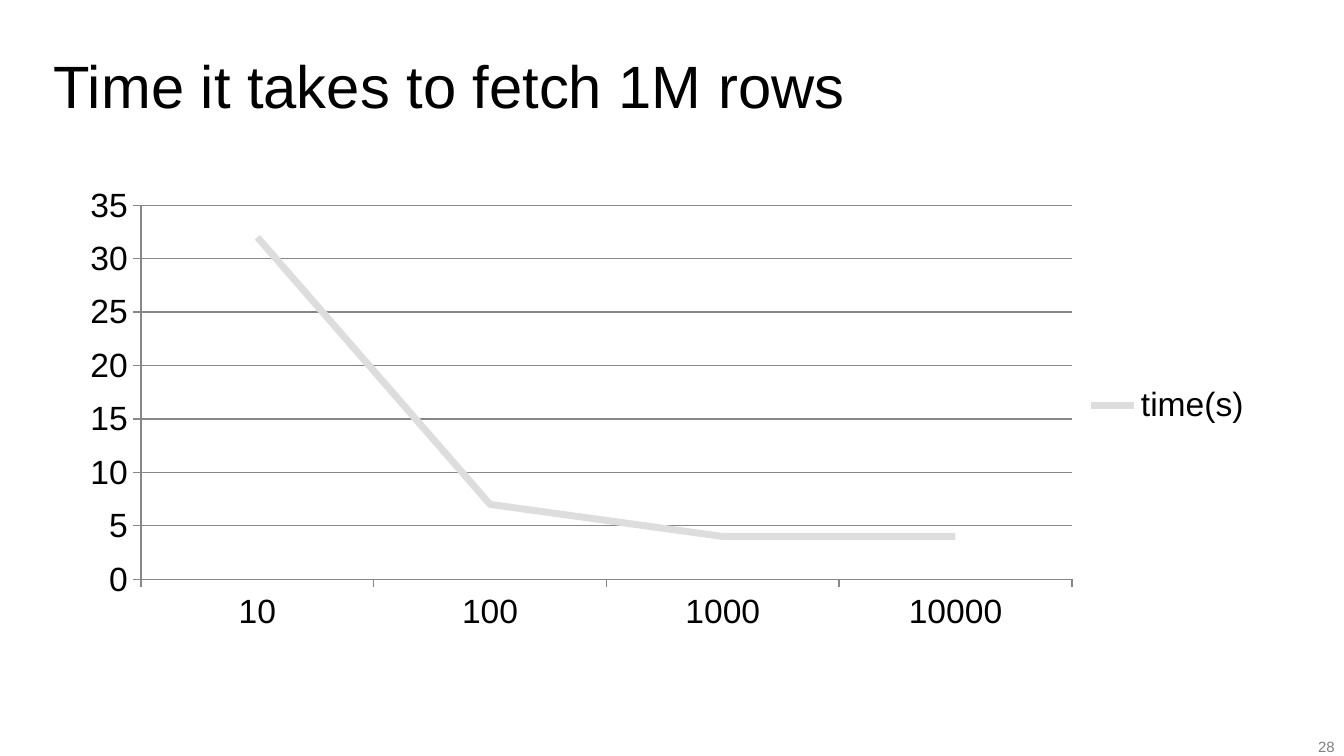
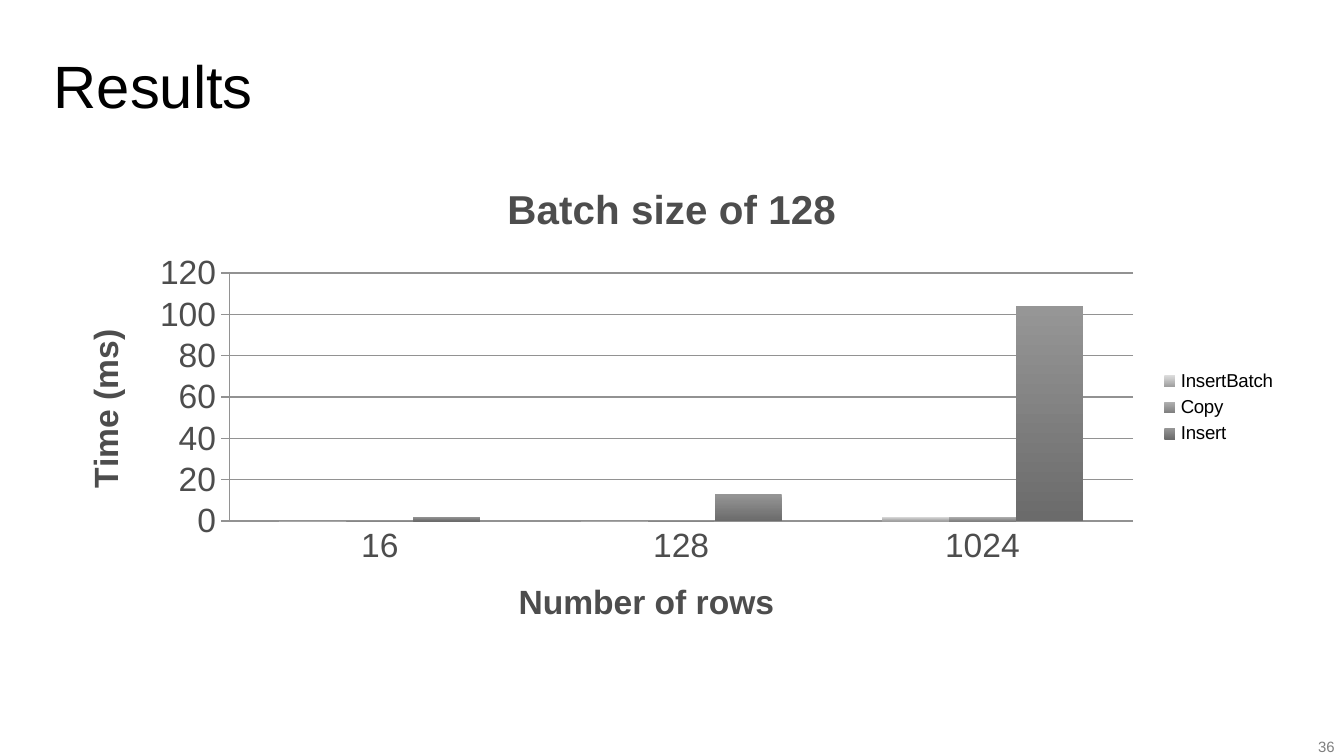
import pptx
import pptx.chart.data
import pptx.dml.color
import pptx.enum.chart
import pptx.enum.text
import pptx.oxml
import pptx.oxml.ns
import pptx.util
from dataclasses import dataclass

Pt = pptx.util.Pt
ChartType = pptx.enum.chart.XL_CHART_TYPE
TickMark = pptx.enum.chart.XL_TICK_MARK

SLIDES = [
    dict(
        title="Time it takes to fetch 1M rows",
        number="28",
        type=ChartType.LINE,
        box=(28.8, 89.3, 649.4, 255.6),
        plot=(0.072, 0.081, 0.768, 0.784),
        categories=["10", "100", "1000", "10000"],
        series=[("time(s)", [32, 7, 4, 4], "DDDDDD", None)],
        legend_size=18,
        axis_color="000000",
        rule_color="878787",
        category_tick=TickMark.OUTSIDE,
        value_step=5,
        value_top=35,
    ),
    dict(
        title="Results",
        number="36",
        type=ChartType.COLUMN_CLUSTERED,
        box=(28.8, 85, 662.4, 266.4),
        plot=(0.142, 0.23, 0.731, 0.499),
        categories=["16", "128", "1024"],
        series=[
            ("InsertBatch", [0, 0, 2], "DDDDDD", "A0A0A0"),
            ("Copy", [0, 0, 2], "B2B2B2", "808080"),
            ("Insert", [2, 13, 104], "969696", "6B6B6B"),
        ],
        legend_size=10,
        axis_color="4D4D4D",
        rule_color="929292",
        category_tick=TickMark.NONE,
        value_step=20,
        value_top=120,
        chart_title="Batch size of 128",
        category_title="Number of rows",
        value_title="Time (ms)",
    ),
]


@dataclass(frozen=True)
class Theme:
    font: str = "Arial"
    ink: str = "000000"
    footer: str = "7F7F7F"
    heading: str = "4D4D4D"
    title_size: float = 32
    footer_size: float = 8
    axis_size: float = 18
    chart_title_size: float = 21.6
    rule_width: float = 0.75
    series_width: float = 3.75


THEME = Theme()


def rgb(color):
    return pptx.dml.color.RGBColor.from_string(color)


def set_font(font, size, color, bold=False):
    font.name = THEME.font
    font.size = Pt(size)
    font.bold = bold
    font.color.rgb = rgb(color)


def add_text(slide, text, box, size, color, alignment):
    frame = slide.shapes.add_textbox(*map(Pt, box)).text_frame
    frame.margin_left = frame.margin_right = frame.margin_top = frame.margin_bottom = 0
    frame.word_wrap = True
    paragraph = frame.paragraphs[0]
    paragraph.text = text
    paragraph.alignment = alignment
    set_font(paragraph.font, size, color)


def add_heading(owner, text, size):
    """Give a chart or an axis its bold title."""
    paragraph = (owner.chart_title if hasattr(owner, "chart_title")
                 else owner.axis_title).text_frame.paragraphs[0]
    paragraph.text = text
    set_font(paragraph.font, size, THEME.heading, bold=True)


def place_plot(chart, plot):
    """Fix the inner plot area as fractions of the chart."""
    area = chart.element.find(".//" + pptx.oxml.ns.qn("c:plotArea"))
    for layout in area.findall(pptx.oxml.ns.qn("c:layout")):
        area.remove(layout)
    parts = [("layoutTarget", "inner"), ("xMode", "edge"), ("yMode", "edge")]
    parts += zip("xywh", plot)
    values = "".join(f'<c:{tag} val="{value}"/>' for tag, value in parts)
    area.insert(0, pptx.oxml.parse_xml(
        f'<c:layout {pptx.oxml.ns.nsdecls("c")}>'
        f"<c:manualLayout>{values}</c:manualLayout></c:layout>"))


def style_axis(axis, content, tick, title):
    axis.major_tick_mark = tick
    axis.minor_tick_mark = TickMark.NONE
    set_font(axis.tick_labels.font, THEME.axis_size, content["axis_color"])
    lines = [axis.format.line]
    if axis.has_major_gridlines:
        lines.append(axis.major_gridlines.format.line)
    for line in lines:
        line.color.rgb = rgb(content["rule_color"])
        line.width = Pt(THEME.rule_width)
    axis.has_title = title is not None
    if title:
        add_heading(axis, title, THEME.axis_size)


def style_series(series, color, shade):
    if shade is None:
        series.smooth = False
        series.marker.style = pptx.enum.chart.XL_MARKER_STYLE.NONE
        series.format.line.color.rgb = rgb(color)
        series.format.line.width = Pt(THEME.series_width)
        return
    fill = series.format.fill
    fill.gradient()
    fill.gradient_angle = 270
    for stop, stop_color in zip(fill.gradient_stops, (color, shade)):
        stop.color.rgb = rgb(stop_color)


def add_chart(slide, content):
    data = pptx.chart.data.CategoryChartData()
    data.categories = content["categories"]
    for name, values, _, _ in content["series"]:
        data.add_series(name, values)
    chart = slide.shapes.add_chart(
        content["type"], *map(Pt, content["box"]), data).chart
    set_font(chart.font, content["legend_size"], THEME.ink)

    chart.has_title = "chart_title" in content
    if chart.has_title:
        add_heading(chart, content["chart_title"], THEME.chart_title_size)
    chart.has_legend = True
    chart.legend.position = pptx.enum.chart.XL_LEGEND_POSITION.RIGHT
    chart.legend.include_in_layout = False

    value_axis = chart.value_axis
    value_axis.has_major_gridlines = True
    value_axis.minimum_scale = 0
    value_axis.maximum_scale = content["value_top"]
    value_axis.major_unit = content["value_step"]
    style_axis(value_axis, content, TickMark.OUTSIDE, content.get("value_title"))
    style_axis(chart.category_axis, content, content["category_tick"],
               content.get("category_title"))

    plot = chart.plots[0]
    plot.vary_by_categories = False
    if content["type"] == ChartType.COLUMN_CLUSTERED:
        plot.gap_width = 150
        plot.overlap = 0
    for series, (_, _, color, shade) in zip(plot.series, content["series"]):
        style_series(series, color, shade)
    place_plot(chart, content["plot"])


def add_slide(presentation, content):
    slide = presentation.slides.add_slide(presentation.slide_layouts[6])
    align = pptx.enum.text.PP_ALIGN
    add_text(slide, content["number"], (673.2, 395.3, 41.8, 9.4),
             THEME.footer_size, THEME.footer, align.RIGHT)
    add_text(slide, content["title"], (28.8, 25.9, 662.4, 36),
             THEME.title_size, THEME.ink, align.LEFT)
    add_chart(slide, content)


def main():
    presentation = pptx.Presentation()
    presentation.slide_width = Pt(720)
    presentation.slide_height = Pt(405)
    for content in SLIDES:
        add_slide(presentation, content)
    presentation.save("out.pptx")


if __name__ == "__main__":
    main()
